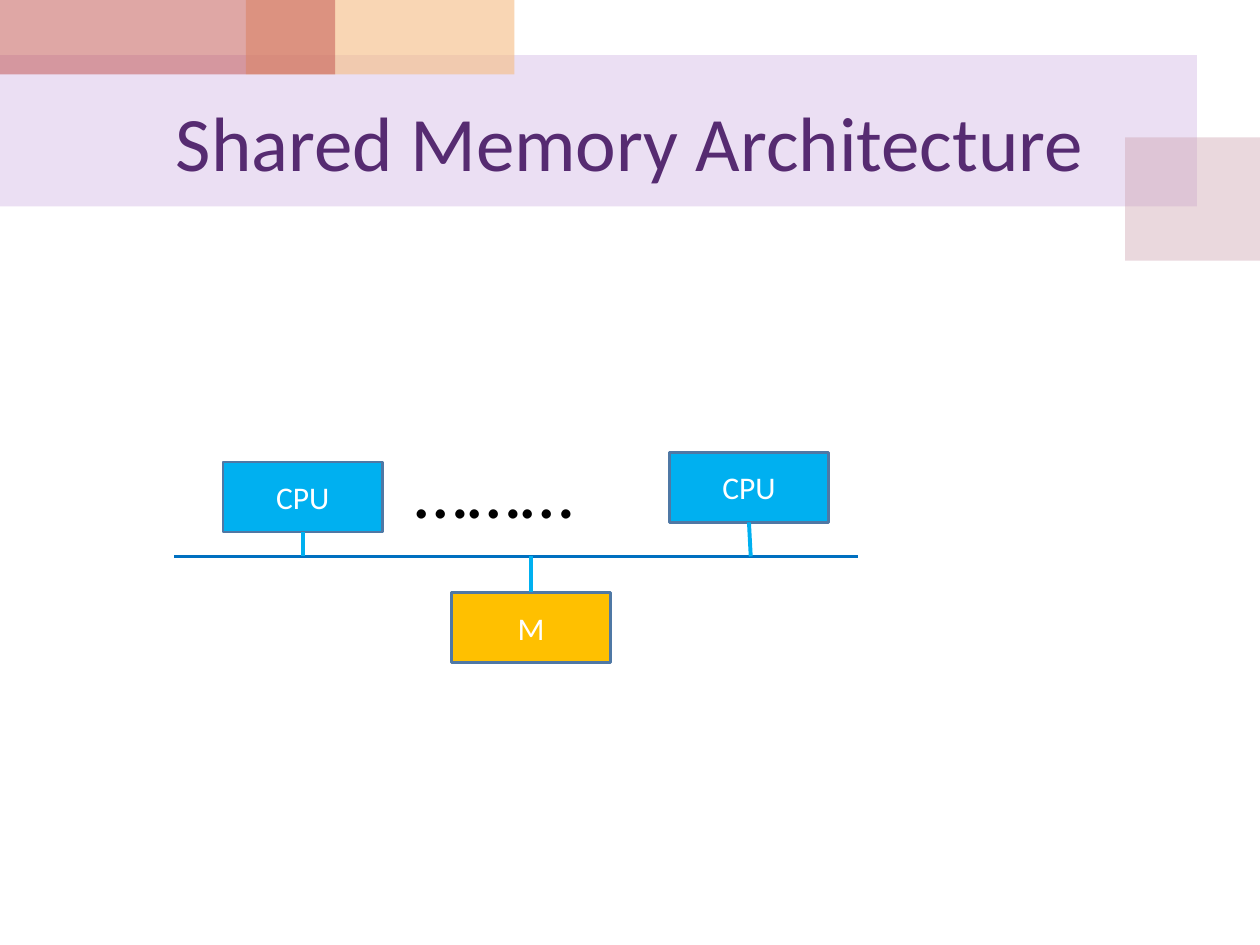
import pptx
import pptx.dml.color
import pptx.enum.shapes
import pptx.enum.text
import pptx.oxml
import pptx.oxml.ns
import pptx.util

Pt = pptx.util.Pt
CYAN = "00B0F0"
BOX_WIDTH, BOX_HEIGHT = 91, 40
BUS_Y = 318


def color(hex_string):
    return pptx.dml.color.RGBColor.from_string(hex_string)


class SlideBuilder:
    font_name = "Calibri"
    title_format = {"size": Pt(44), "color": "562B71"}
    label_format = {"size": Pt(18), "color": "FFFFFF"}
    dots_format = {"size": Pt(44), "color": "000000"}
    outline = "4F78A5"

    def __init__(self, presentation):
        self.slide = presentation.slides.add_slide(presentation.slide_layouts[5])

    def set_text(self, shape, text, text_format, alignment, anchor):
        frame = shape.text_frame
        frame.text = text
        frame.word_wrap = True
        frame.vertical_anchor = anchor
        paragraph = frame.paragraphs[0]
        paragraph.alignment = alignment
        font = paragraph.runs[0].font
        font.name = self.font_name
        for name, value in text_format.items():
            if name == "color":
                font.color.rgb = color(value)
            else:
                setattr(font, name, value)

    def set_centered_text(self, shape, text, text_format):
        self.set_text(shape, text, text_format, pptx.enum.text.PP_ALIGN.CENTER,
                      pptx.enum.text.MSO_ANCHOR.MIDDLE)

    def title(self, text, left, top, width, height):
        """Place the title above everything drawn so far."""
        title = self.slide.shapes.title
        bounds = {"left": left, "top": top, "width": width, "height": height}
        for name, value in bounds.items():
            setattr(title, name, Pt(value))
        self.set_centered_text(title, text, self.title_format)
        title.element.getparent().append(title.element)

    def rectangle(self, left, top, width, height, fill):
        shape = self.slide.shapes.add_shape(
            pptx.enum.shapes.MSO_SHAPE.RECTANGLE,
            Pt(left), Pt(top), Pt(width), Pt(height))
        shape.shadow.inherit = False
        shape.fill.solid()
        shape.fill.fore_color.rgb = color(fill)
        shape.line.fill.background()
        return shape

    def band(self, left, top, width, height, fill, opacity):
        """Add a translucent decorative rectangle; opacity is in percent."""
        shape = self.rectangle(left, top, width, height, fill)
        fill_color = shape.element.find(".//" + pptx.oxml.ns.qn("a:srgbClr"))
        alpha = pptx.oxml.parse_xml(
            f'<a:alpha {pptx.oxml.ns.nsdecls("a")} val="{opacity * 1000}"/>')
        fill_color.append(alpha)

    def box(self, text, left, top, fill):
        shape = self.rectangle(left, top, BOX_WIDTH, BOX_HEIGHT, fill)
        shape.line.color.rgb = color(self.outline)
        shape.line.width = Pt(1.5)
        self.set_centered_text(shape, text, self.label_format)

    def line(self, start_x, start_y, end_x, end_y, stroke):
        connector = self.slide.shapes.add_connector(
            pptx.enum.shapes.MSO_CONNECTOR.STRAIGHT,
            Pt(start_x), Pt(start_y), Pt(end_x), Pt(end_y))
        connector.line.color.rgb = color(stroke)
        connector.line.width = Pt(2.25)
        connector.element.spPr.append(pptx.oxml.parse_xml(
            f'<a:effectLst {pptx.oxml.ns.nsdecls("a")}/>'))

    def dots(self, left, top, width, height):
        text_box = self.slide.shapes.add_textbox(
            Pt(left), Pt(top), Pt(width), Pt(height))
        self.set_text(text_box, "………", self.dots_format,
                      pptx.enum.text.PP_ALIGN.LEFT, pptx.enum.text.MSO_ANCHOR.TOP)


def main():
    presentation = pptx.Presentation()
    presentation.slide_width, presentation.slide_height = Pt(720), Pt(540)
    builder = SlideBuilder(presentation)

    builder.band(0, 31.5, 684, 86.5, "BF98D8", 30)
    builder.band(643, 78.5, 77, 70.5, "CC9EAC", 40)
    builder.band(140.5, 0, 153.5, 42.5, "F5BC83", 60)
    builder.band(0, 0, 191.5, 42.5, "C0504D", 50)
    builder.title("Shared Memory Architecture", 36, 42.5, 648, 75.5)

    first_cpu_x, first_cpu_y = 127.5, 264
    last_cpu_x, last_cpu_y = 382.5, 258.5
    memory_x, memory_y = 258, 338.5
    builder.box("CPU", first_cpu_x, first_cpu_y, CYAN)
    builder.box("M", memory_x, memory_y, "FFC000")
    builder.box("CPU", last_cpu_x, last_cpu_y, CYAN)

    middle = BOX_WIDTH / 2
    builder.line(99.5, BUS_Y, 490.5, BUS_Y, "0070C0")
    builder.line(memory_x + middle, BUS_Y, memory_x + middle, memory_y, CYAN)
    builder.line(first_cpu_x + middle, first_cpu_y + BOX_HEIGHT,
                 first_cpu_x + middle, BUS_Y, CYAN)
    builder.line(last_cpu_x + middle, last_cpu_y + BOX_HEIGHT,
                 last_cpu_x + middle + 1, BUS_Y, CYAN)
    builder.dots(229.5, 248.5, 147.5, 60.5)

    presentation.save("out.pptx")


if __name__ == "__main__":
    main()
